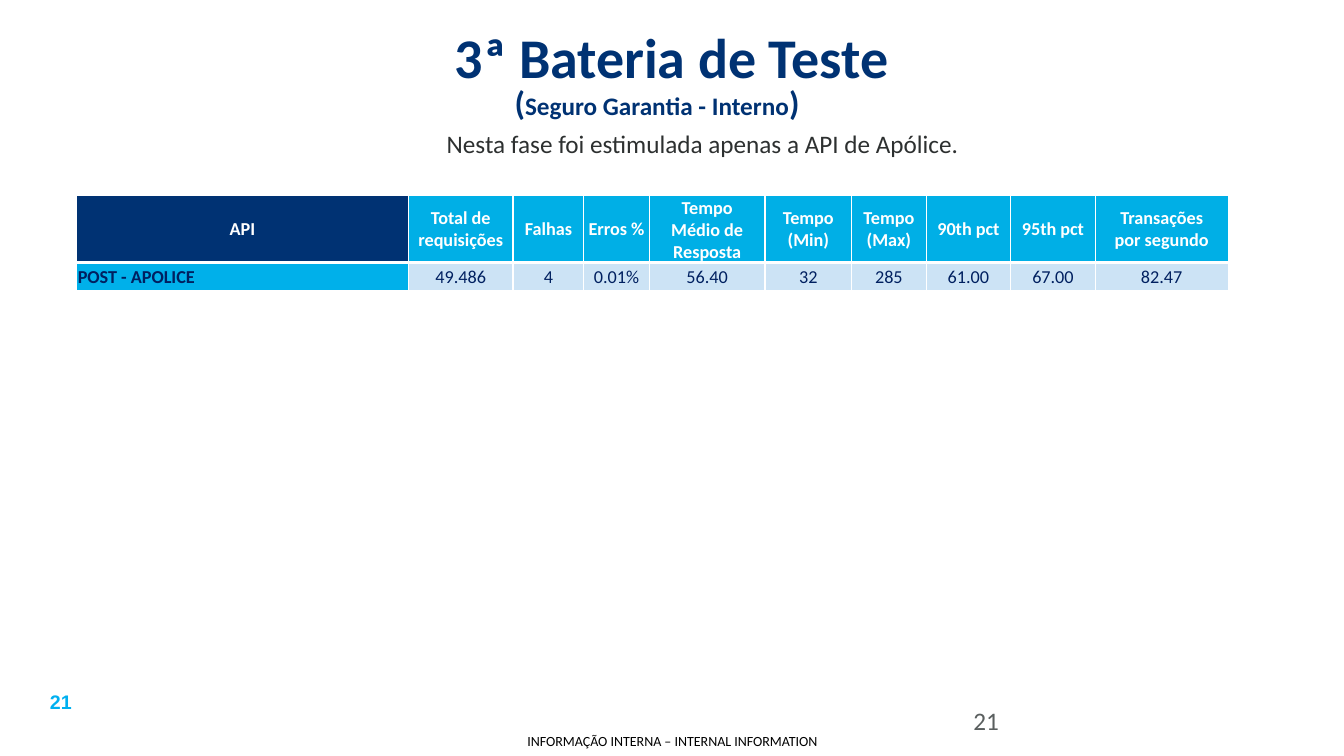
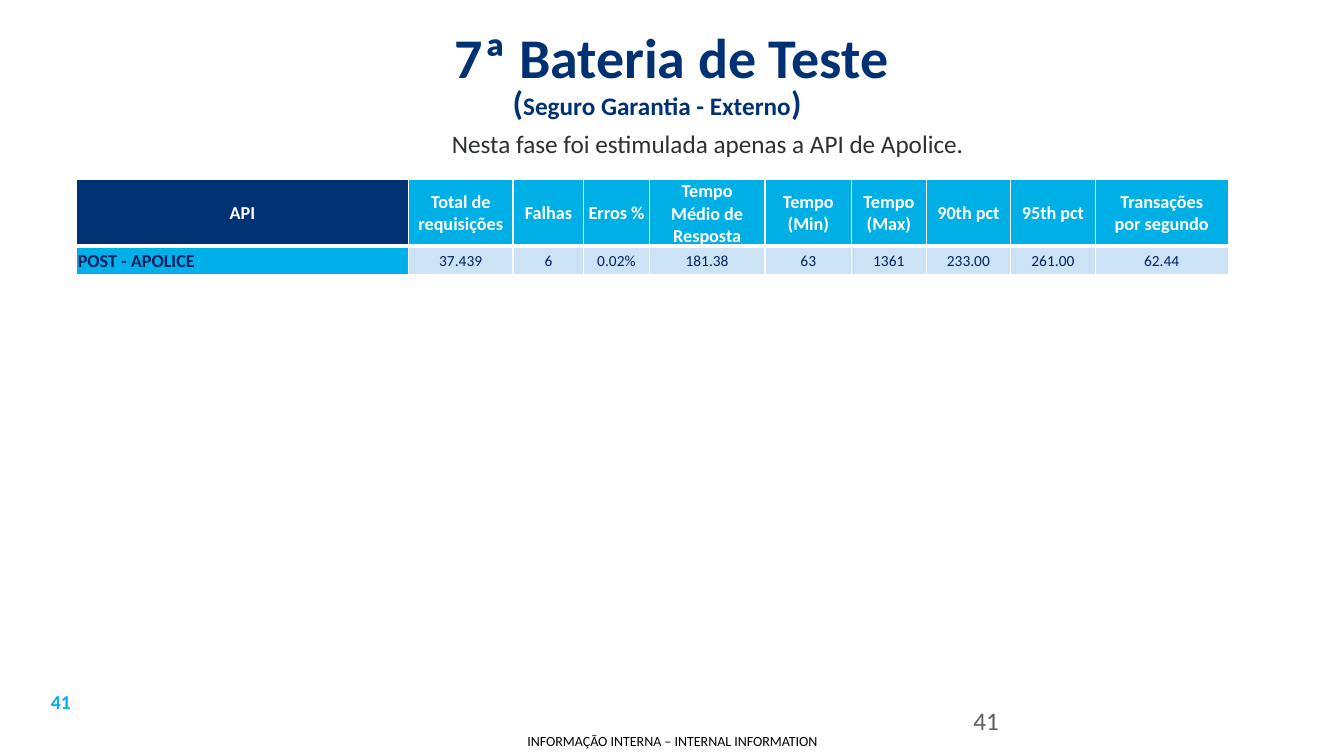
from lxml import etree
from pptx import Presentation
from pptx.dml.color import RGBColor
from pptx.enum.text import MSO_ANCHOR as Anchor, PP_ALIGN as Align
from pptx.oxml.ns import qn
from pptx.util import Cm, Pt

COLORS = {
    "navy": "003273",
    "header": "00AFE6",
    "row_label": "00B0EA",
    "row_value": "CCE3F5",
    "row_text": "002060",
    "page": "00B0F0",
    "body": "2D3030",
    "gray": "5A5F5F",
    "black": "000000",
    "white": "FFFFFF",
}
FONT = "Calibri"
FOOTER = "INFORMAÇÃO INTERNA – INTERNAL INFORMATION"
HEADERS = ["API", "Total de\nrequisições", "Falhas", "Erros %",
           "Tempo\nMédio de\nResposta", "Tempo\n(Min)", "Tempo\n(Max)",
           "90th pct", "95th pct", "Transações\npor segundo"]
COLUMN_WIDTHS = [8.36, 2.64, 1.78, 1.65, 2.92, 2.18, 1.88, 2.13, 2.13, 3.35]
ROW_HEIGHTS = [1.65, 0.71]
THIN, THICK = 1, 3

TESTS = [
    {
        "page": "21", "page_font": "Arial",
        "title": "3ª Bateria de Teste",
        "subtitle": "Seguro Garantia - Interno",
        "note": "Nesta fase foi estimulada apenas a API de Apólice.",
        "note_at": (7.06, 3.12), "table_top": 4.93, "value_size": 13,
        "row": ["POST - APOLICE", "49.486", "4", "0.01%", "56.40", "32",
                "285", "61.00", "67.00", "82.47"],
    },
    {
        "page": "41", "page_font": FONT,
        "title": "7ª Bateria de Teste",
        "subtitle": "Seguro Garantia - Externo",
        "note": "Nesta fase foi estimulada apenas a API de Apolice.",
        "note_at": (7.19, 3.1), "table_top": 4.52, "value_size": 11,
        "row": ["POST - APOLICE", "37.439", "6", "0.02%", "181.38", "63",
                "1361", "233.00", "261.00", "62.44"],
    },
]


def rgb(name):
    return RGBColor.from_string(COLORS[name])


def style_run(run, size, color, bold=False, font=FONT):
    run.font.size = Pt(size)
    run.font.name = font
    run.font.bold = bold
    run.font.color.rgb = rgb(color)


def style_text(text_frame, size, color, bold=False, font=FONT,
               align=Align.CENTER):
    for paragraph in text_frame.paragraphs:
        paragraph.alignment = align
        for run in paragraph.runs:
            style_run(run, size, color, bold, font)


def add_text(slide, text, box, size, color, anchor=Anchor.TOP, **style):
    shape = slide.shapes.add_textbox(*map(Cm, box))
    text_frame = shape.text_frame
    text_frame.word_wrap = True
    text_frame.vertical_anchor = anchor
    text_frame.text = text
    style_text(text_frame, size, color, **style)
    return text_frame


def add_subtitle(slide, text):
    """Add the subtitle between larger parentheses."""
    text_frame = add_text(slide, "(", (7.49, 1.93, 18.14, 1.27), 24, "navy",
                          bold=True)
    for part, size in ((text, 18), (")", 24)):
        run = text_frame.paragraphs[0].add_run()
        run.text = part
        style_run(run, size, "navy", bold=True)


def add_note(slide, text, position):
    text_frame = add_text(slide, text, (*position, 18.75, 1.02), 18, "body")
    properties = text_frame.paragraphs[0]._p.get_or_add_pPr()
    properties.set("marL", str(Cm(2.54)))


def set_borders(cell, top, bottom):
    properties = cell._tc.get_or_add_tcPr()
    for side, width in (("L", THIN), ("R", THIN), ("T", top), ("B", bottom)):
        line = etree.SubElement(properties, qn(f"a:ln{side}"),
                                w=str(Pt(width)))
        fill = etree.SubElement(line, qn("a:solidFill"))
        etree.SubElement(fill, qn("a:srgbClr"), val=COLORS["white"])


def fill_cell(cell, text, fill, size, color, bold, align=Align.CENTER):
    cell.margin_left = cell.margin_right = cell.margin_top = Cm(0.03)
    cell.margin_bottom = 0
    cell.vertical_anchor = Anchor.MIDDLE
    cell.fill.solid()
    cell.fill.fore_color.rgb = rgb(fill)
    cell.text_frame.text = text
    style_text(cell.text_frame, size, color, bold, align=align)


def add_results_table(slide, top, values, value_size):
    frame = slide.shapes.add_table(
        len(ROW_HEIGHTS), len(HEADERS), Cm(1.93), Cm(top),
        Cm(sum(COLUMN_WIDTHS)), Cm(sum(ROW_HEIGHTS)))
    table = frame.table
    table.first_row = table.horz_banding = False
    for row, height in zip(table.rows, ROW_HEIGHTS):
        row.height = Cm(height)
    for index, width in enumerate(COLUMN_WIDTHS):
        table.columns[index].width = Cm(width)
        header, value = table.cell(0, index), table.cell(1, index)
        set_borders(header, THIN, THICK)
        set_borders(value, THICK, THIN)
        is_label = index == 0
        fill_cell(header, HEADERS[index], "navy" if is_label else "header",
                  13, "white", True)
        if is_label:
            fill_cell(value, values[index], "row_label", 13, "row_text", True,
                      Align.LEFT)
        else:
            fill_cell(value, values[index], "row_value", value_size,
                      "row_text", False)


def add_footer(slide, page, page_font):
    add_text(slide, page, (0.53, 17.27, 2.01, 0.86), 14, "page", bold=True,
             font=page_font)
    footer = add_text(slide, FOOTER, (12.78, 18.31, 8.33, 0.74), 10, "black",
                      Anchor.MIDDLE)
    footer.margin_left = footer.margin_right = 0
    footer.margin_top = footer.margin_bottom = 0
    add_text(slide, page, (24.28, 17.65, 7.9, 1.02), 18, "gray",
             align=Align.LEFT)


def add_test_slide(presentation, test):
    slide = presentation.slides.add_slide(presentation.slide_layouts[6])
    add_footer(slide, test["page"], test["page_font"])
    add_results_table(slide, test["table_top"], test["row"],
                      test["value_size"])
    add_note(slide, test["note"], test["note_at"])
    add_text(slide, test["title"], (5.74, 0.13, 22.38, 2.57), 40, "navy",
             Anchor.MIDDLE, bold=True)
    add_subtitle(slide, test["subtitle"])


def main():
    presentation = Presentation()
    presentation.slide_width = Cm(33.87)
    presentation.slide_height = Cm(19.05)
    for test in TESTS:
        add_test_slide(presentation, test)
    presentation.save("out.pptx")


if __name__ == "__main__":
    main()
